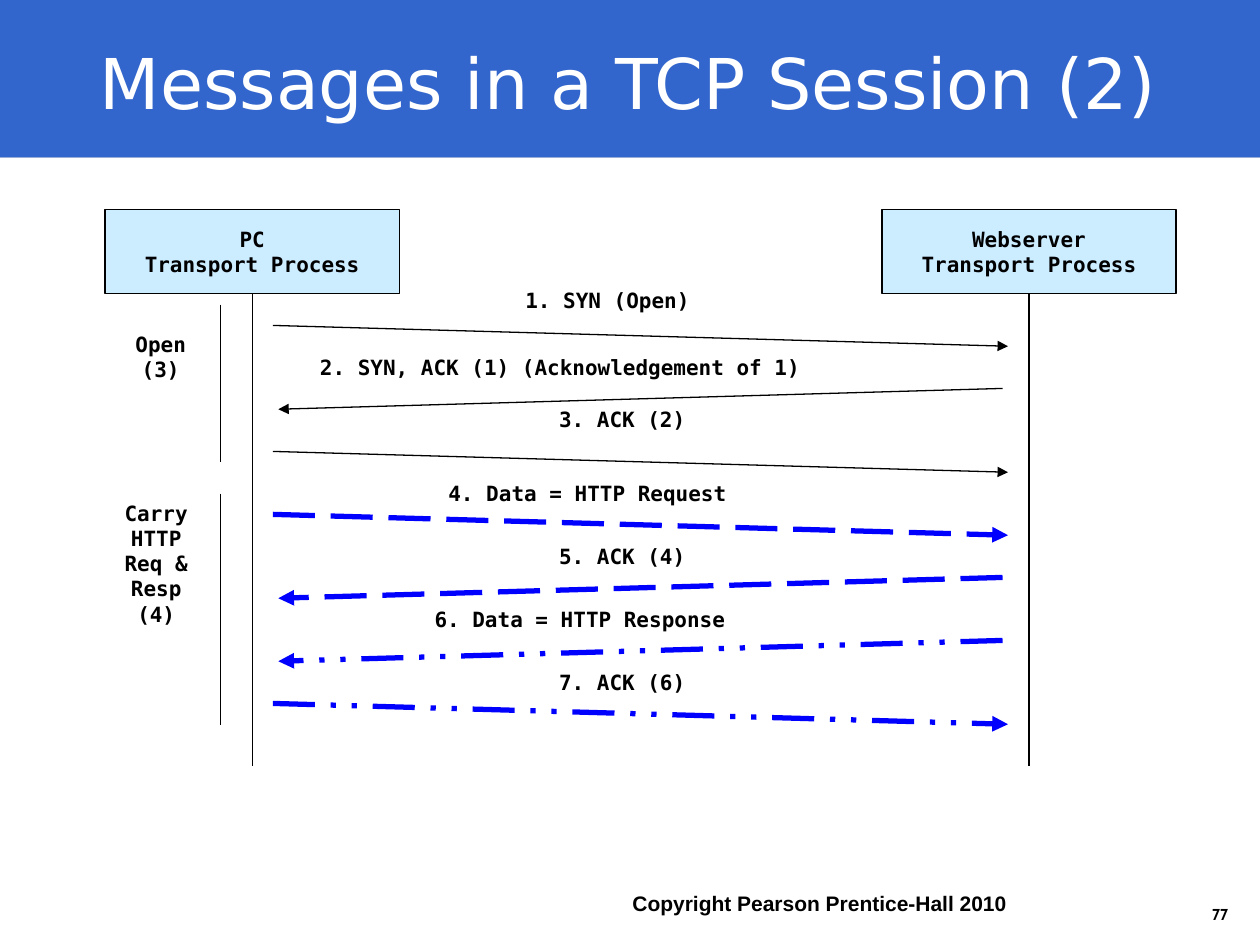
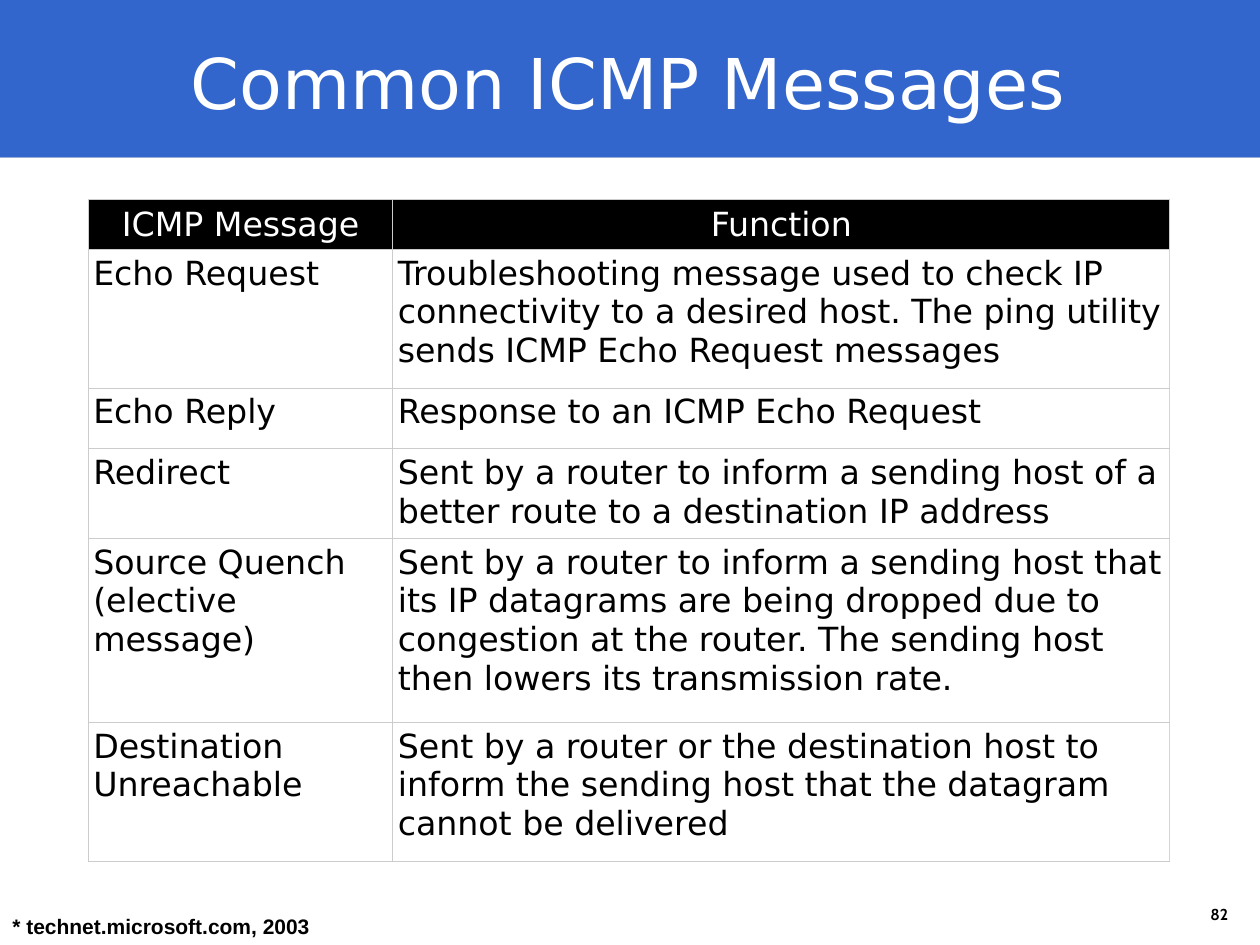
from lxml.etree import SubElement
from pptx import Presentation
from pptx.dml.color import RGBColor
from pptx.enum.dml import MSO_LINE
from pptx.enum.shapes import MSO_CONNECTOR, MSO_SHAPE
from pptx.enum.text import MSO_ANCHOR, PP_ALIGN
from pptx.oxml.ns import qn
from pptx.util import Cm, Pt

# Content: TCP session (lengths in centimetres)
SESSION_TITLE = "Messages in a TCP Session (2)"
COPYRIGHT = "Copyright Pearson Prentice-Hall 2010"
HOSTS = [("PC", 2.12), ("Webserver", 17.78)]
# label, label left, label width, height of label above arrow, direction, style
MESSAGES = [
    ("1. SYN (Open)", 10.34, 5.13, 0.89, "right", "control"),
    ("2. SYN, ACK (1) (Acknowledgement of 1)", 6.2, 13.44, 0.81, "left", "control"),
    ("3. ACK (2)", 11.02, 3.81, 1.02, "right", "control"),
    ("4. Data = HTTP Request", 8.79, 8.26, 0.81, "right", "request"),
    ("5. ACK (4)", 11.02, 3.81, 0.81, "left", "request"),
    ("6. Data = HTTP Response", 8.51, 8.81, 0.81, "left", "response"),
    ("7. ACK (6)", 11.02, 3.81, 0.81, "right", "response"),
]
# lines, left, top, width, height, top and bottom of the phase bar
PHASES = [
    (["Open", "(3)"], 2.16, 6.55, 2.16, 1.8, 6.14, 9.31),
    (["Carry", "HTTP", "Req &", "Resp", "(4)"], 1.98, 9.96, 2.34, 4.11, 9.95, 14.61),
]

# Content: ICMP table
ICMP_TITLE = "Common ICMP Messages"
FOOTNOTE = "* technet.microsoft.com, 2003"
ICMP_ROWS = [
    (["ICMP Message"], ["Function"]),
    (["Echo Request"],
     ["Troubleshooting message used to check IP connectivity to a desired host. "
      "The ping utility sends ICMP Echo Request messages"]),
    (["Echo Reply"], ["Response to an ICMP Echo Request"]),
    (["Redirect"],
     ["Sent by a router to inform a sending host of a better route to a "
      "destination IP address"]),
    (["Source Quench", "(elective message)"],
     ["Sent by a router to inform a sending host that its IP datagrams are being "
      "dropped due to congestion at the router. The sending host then lowers its "
      "transmission rate."]),
    (["Destination Unreachable"],
     ["Sent by a router or the destination host to inform the sending host that "
      "the datagram cannot be delivered"]),
]
COLUMN_WIDTHS = [6.14, 15.66]
ROW_HEIGHTS = [0.98, 2.8, 1.22, 1.79, 3.71, 2.8]

# Shared style
BLACK = RGBColor(0x00, 0x00, 0x00)
WHITE = RGBColor(0xFF, 0xFF, 0xFF)
GREY = RGBColor(0xB2, 0xB2, 0xB2)
BAND_BLUE = RGBColor(0x33, 0x66, 0xCC)
HOST_BLUE = RGBColor(0xCC, 0xEC, 0xFF)
DATA_BLUE = RGBColor(0x00, 0x00, 0xFF)
BORDER = RGBColor(0xCC, 0xCC, 0xCC)
OUTER_BORDER = RGBColor(0xD5, 0xD5, 0xD3)

TITLE_FONT = ("DejaVu Sans", 40, WHITE, False)
NUMBER_FONT = ("Cabin", 9, BLACK, True)
NOTE_FONT = ("Arial", 12, BLACK, True)
DIAGRAM_FONT = ("DejaVu Sans Mono", 12, BLACK, True)
HEADER_FONT = ("DejaVu Sans", 19, WHITE, False)
CELL_FONT = ("DejaVu Sans", 19, BLACK, False)

SLIDE_WIDTH, SLIDE_HEIGHT = 25.4, 19.05
BAND_HEIGHT = 3.18

# Diagram grid
HOST_TOP, HOST_WIDTH, HOST_HEIGHT = 4.23, 5.93, 1.69
LIFELINE_TOP, LIFELINE_BOTTOM = 4.88, 15.45
MESSAGE_TOP, MESSAGE_STEP, MESSAGE_DROP = 6.56, 1.27, 0.42
MESSAGE_ENDS = {"right": (5.5, 20.32), "left": (20.21, 5.61)}
MESSAGE_STYLES = {
    "control": (BLACK, 0.75, None),
    "request": (DATA_BLUE, 3, MSO_LINE.LONG_DASH),
    "response": (DATA_BLUE, 3, "lgDashDotDot"),
}
PHASE_BAR_X = 4.45


def write(frame, lines, font, align=PP_ALIGN.LEFT, anchor=MSO_ANCHOR.TOP):
    name, size, color, bold = font
    frame.word_wrap = True
    frame.vertical_anchor = anchor
    for index, line in enumerate(lines):
        paragraph = frame.add_paragraph() if index else frame.paragraphs[0]
        paragraph.alignment = align
        run = paragraph.add_run()
        run.text = line
        run.font.name = name
        run.font.size = Pt(size)
        run.font.color.rgb = color
        run.font.bold = bold


def add_text(slide, box, lines, font, **layout):
    shape = slide.shapes.add_textbox(*map(Cm, box))
    write(shape.text_frame, lines, font, **layout)


def add_box(slide, box, fill, outline=None):
    shape = slide.shapes.add_shape(MSO_SHAPE.RECTANGLE, *map(Cm, box))
    shape.shadow.inherit = False
    shape.fill.solid()
    shape.fill.fore_color.rgb = fill
    if outline is None:
        shape.line.fill.background()
    else:
        shape.line.color.rgb = outline
        shape.line.width = Pt(0.75)
    return shape


def add_line(slide, start, end, color=BLACK, width=0.75, dash=None, arrow=False):
    connector = slide.shapes.add_connector(
        MSO_CONNECTOR.STRAIGHT, *map(Cm, start + end))
    connector.line.color.rgb = color
    connector.line.width = Pt(width)
    properties = connector.line._get_or_add_ln()
    if isinstance(dash, str):
        SubElement(properties, qn("a:prstDash"), val=dash)
    elif dash is not None:
        connector.line.dash_style = dash
    if arrow:
        SubElement(properties, qn("a:tailEnd"), type="triangle")
    SubElement(connector._element.spPr, qn("a:effectLst"))


def add_base_slide(presentation, title, number):
    slide = presentation.slides.add_slide(presentation.slide_layouts[6])
    slide.background.fill.solid()
    slide.background.fill.fore_color.rgb = GREY
    add_box(slide, (0, 0, SLIDE_WIDTH, BAND_HEIGHT), BAND_BLUE)
    add_box(slide, (0, BAND_HEIGHT, SLIDE_WIDTH, SLIDE_HEIGHT - BAND_HEIGHT), WHITE)
    add_text(slide, (22.17, 17.96, 2.84, 0.79), [str(number)], NUMBER_FONT,
             align=PP_ALIGN.RIGHT, anchor=MSO_ANCHOR.BOTTOM)
    add_text(slide, (0.86, 0.15, 23.6, 2.97), [title], TITLE_FONT,
             align=PP_ALIGN.CENTER, anchor=MSO_ANCHOR.MIDDLE)
    return slide


def build_session_slide(presentation):
    slide = add_base_slide(presentation, SESSION_TITLE, 77)
    add_text(slide, (12.5, 17.83, 12.07, 1.02), [COPYRIGHT], NOTE_FONT)

    # Hosts and their lifelines
    for host, left in HOSTS:
        center = left + HOST_WIDTH / 2
        add_line(slide, (center, LIFELINE_TOP), (center, LIFELINE_BOTTOM))
        shape = add_box(slide, (left, HOST_TOP, HOST_WIDTH, HOST_HEIGHT),
                        HOST_BLUE, BLACK)
        write(shape.text_frame, [host, "Transport Process"], DIAGRAM_FONT,
              align=PP_ALIGN.CENTER, anchor=MSO_ANCHOR.MIDDLE)

    # Messages, one per step down the page
    for index, (label, left, width, rise, direction, style) in enumerate(MESSAGES):
        top = MESSAGE_TOP + index * MESSAGE_STEP
        start_x, end_x = MESSAGE_ENDS[direction]
        add_line(slide, (start_x, top), (end_x, top + MESSAGE_DROP),
                 *MESSAGE_STYLES[style], arrow=True)
        add_text(slide, (left, top - rise, width, 1.09), [label], DIAGRAM_FONT)

    # Phases on the left
    for lines, left, top, width, height, bar_top, bar_bottom in PHASES:
        add_line(slide, (PHASE_BAR_X, bar_top), (PHASE_BAR_X, bar_bottom))
        add_text(slide, (left, top, width, height), lines, DIAGRAM_FONT,
                 align=PP_ALIGN.CENTER)


def set_borders(cell, right):
    properties = cell._tc.get_or_add_tcPr()
    for side, color in (("L", BORDER), ("R", right), ("T", BORDER), ("B", BORDER)):
        line = SubElement(properties, qn(f"a:ln{side}"), w=str(Pt(0.75)))
        fill = SubElement(line, qn("a:solidFill"))
        SubElement(fill, qn("a:srgbClr"), val=str(color))


def build_icmp_slide(presentation):
    slide = add_base_slide(presentation, ICMP_TITLE, 82)
    table = slide.shapes.add_table(
        len(ICMP_ROWS), len(COLUMN_WIDTHS), Cm(1.78), Cm(4.02),
        Cm(sum(COLUMN_WIDTHS)), Cm(sum(ROW_HEIGHTS))).table
    table.first_row = table.horz_banding = False
    for column, width in zip(table.columns, COLUMN_WIDTHS):
        column.width = Cm(width)
    for row, height in zip(table.rows, ROW_HEIGHTS):
        row.height = Cm(height)

    # Cells
    for row_index, row in enumerate(ICMP_ROWS):
        header = row_index == 0
        for column_index, lines in enumerate(row):
            cell = table.cell(row_index, column_index)
            outer = column_index == 1 and not header
            set_borders(cell, OUTER_BORDER if outer else BORDER)
            cell.fill.solid()
            cell.fill.fore_color.rgb = BLACK if header else WHITE
            cell.margin_left = cell.margin_right = Cm(0.1)
            cell.margin_top = cell.margin_bottom = Cm(0.1)
            write(cell.text_frame, lines, HEADER_FONT if header else CELL_FONT,
                  align=PP_ALIGN.CENTER if header else PP_ALIGN.LEFT)
            cell.vertical_anchor = MSO_ANCHOR.BOTTOM if header else MSO_ANCHOR.TOP

    add_text(slide, (0, 18.29, 6.58, 0.76), [FOOTNOTE], NOTE_FONT)


def main():
    presentation = Presentation()
    presentation.slide_width = Cm(SLIDE_WIDTH)
    presentation.slide_height = Cm(SLIDE_HEIGHT)
    build_session_slide(presentation)
    build_icmp_slide(presentation)
    presentation.save("out.pptx")


if __name__ == "__main__":
    main()
